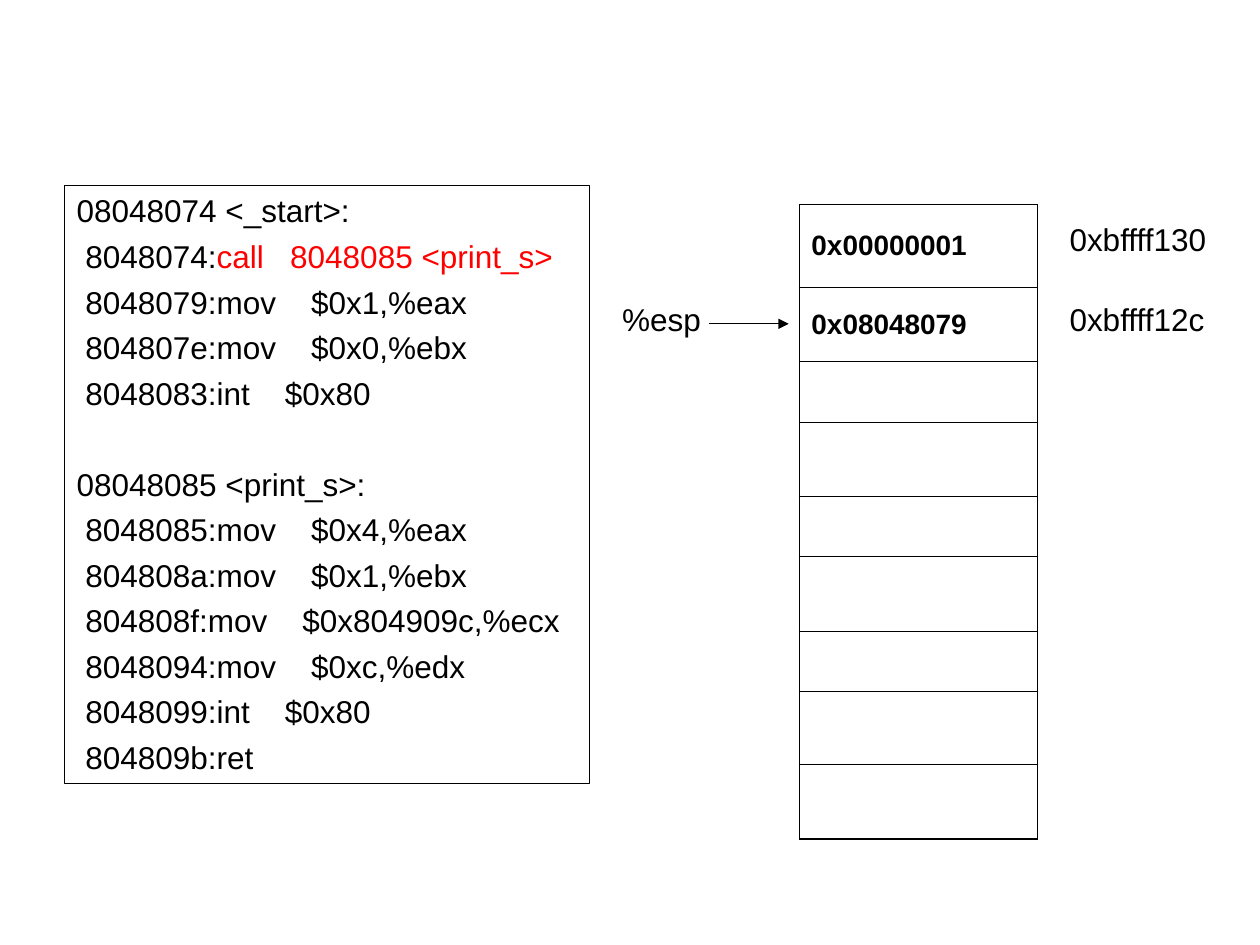
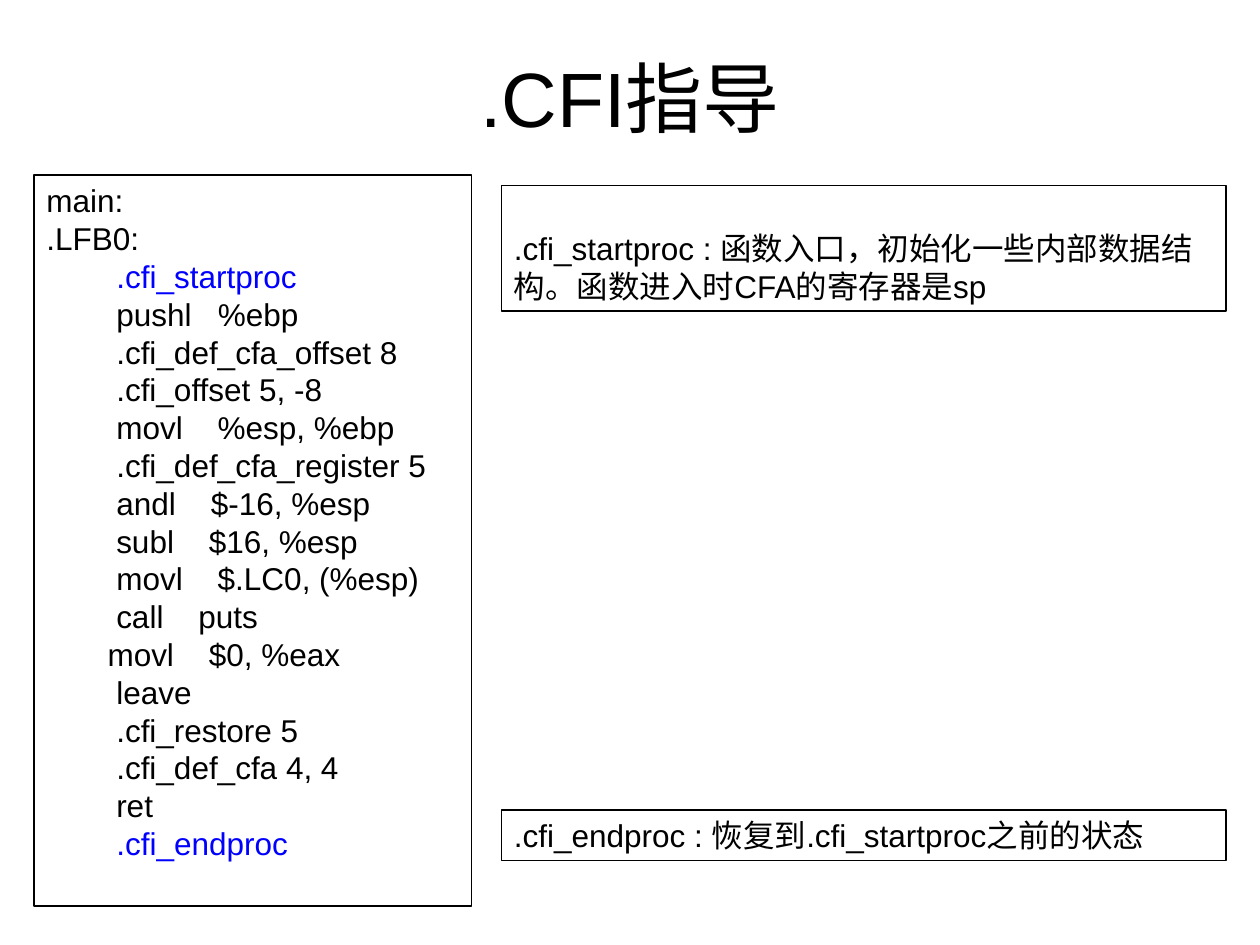
import dataclasses
from typing import Any

import lxml.etree
import pptx
import pptx.dml.color
import pptx.enum.shapes
import pptx.enum.text
import pptx.oxml.ns
import pptx.util

Inches, Pt = pptx.util.Inches, pptx.util.Pt
ANCHOR = pptx.enum.text.MSO_ANCHOR
ALIGN = pptx.enum.text.PP_ALIGN

COLOURS = {"ink": "000000", "call": "FF0000", "directive": "0000FF"}
FONT = "Arial"
LINE_WIDTH = 0.75
CODE_FORMAT = {"line_spacing": Pt(21.6)}
TITLE_FORMAT = {"alignment": ALIGN.CENTER}
LISTING_GAP = 2.2


@dataclasses.dataclass
class Span:
    text: str
    colour: str = "ink"
    size: float = 18
    bold: bool = False


@dataclasses.dataclass
class Para:
    spans: list[Span]
    before: float = 0
    after: float = 0


@dataclasses.dataclass
class Box:
    left: float
    top: float
    width: float
    height: float
    paras: list[Para]
    framed: bool = True
    anchor: Any = ANCHOR.TOP
    para_format: dict = dataclasses.field(default_factory=lambda: CODE_FORMAT)


def rgb(name: str) -> pptx.dml.color.RGBColor:
    return pptx.dml.color.RGBColor.from_string(COLOURS[name])


def set_all(target: Any, values: dict) -> None:
    for name, value in values.items():
        setattr(target, name, value)


def plain(text: str) -> Para:
    return Para([Span(text)])


def code(lines: list[str], marked: dict[str, str]) -> list[Para]:
    """Make one paragraph per line, colouring the part that begins with a marked word."""
    paras = []
    for line in lines:
        spans = [Span(line)]
        for word, colour in marked.items():
            if word in line:
                start = line.index(word)
                spans = [Span(line[:start]), Span(line[start:], colour)]
        paras.append(Para(spans))
    return paras


def write_para(paragraph: Any, para: Para) -> None:
    set_all(paragraph, {"space_before": Pt(para.before), "space_after": Pt(para.after)})
    for span in para.spans:
        run = paragraph.add_run()
        run.text = span.text
        set_all(run.font, {"name": FONT, "size": Pt(span.size), "bold": span.bold})
        run.font.color.rgb = rgb(span.colour)


def draw_box(page: Any, box: Box) -> None:
    place = [Inches(value) for value in (box.left, box.top, box.width, box.height)]
    if box.framed:
        shape = page.shapes.add_shape(pptx.enum.shapes.MSO_SHAPE.RECTANGLE, *place)
        shape.shadow.inherit = False
        shape.fill.background()
        shape.line.color.rgb = rgb("ink")
        shape.line.width = Pt(LINE_WIDTH)
    else:
        shape = page.shapes.add_textbox(*place)
    frame = shape.text_frame
    set_all(frame, {"word_wrap": True, "vertical_anchor": box.anchor})
    for index, para in enumerate(box.paras):
        paragraph = frame.add_paragraph() if index else frame.paragraphs[0]
        set_all(paragraph, {"alignment": ALIGN.LEFT, **box.para_format})
        write_para(paragraph, para)


def label(left: float, top: float, width: float, text: str) -> Box:
    return Box(left, top, width, 0.4, [plain(text)], framed=False)


def draw_arrow(page: Any, left: float, right: float, y: float) -> None:
    arrow = page.shapes.add_connector(
        pptx.enum.shapes.MSO_CONNECTOR.STRAIGHT,
        Inches(left), Inches(y), Inches(right), Inches(y))
    arrow.line.color.rgb = rgb("ink")
    arrow.line.width = Pt(LINE_WIDTH)
    qn = pptx.oxml.ns.qn
    properties = arrow._element.spPr
    lxml.etree.SubElement(properties.find(qn("a:ln")), qn("a:tailEnd"), type="triangle")
    lxml.etree.SubElement(properties, qn("a:effectLst"))


def border_cell(cell: Any, bottom: float) -> None:
    qn = pptx.oxml.ns.qn
    properties = cell._tc.get_or_add_tcPr()
    for side, width in {"L": 0.45, "R": 0.45, "T": 0.45, "B": bottom}.items():
        line = lxml.etree.SubElement(properties, qn(f"a:ln{side}"), w=str(Pt(width)))
        fill = lxml.etree.SubElement(line, qn("a:solidFill"))
        lxml.etree.SubElement(fill, qn("a:srgbClr"), val=COLOURS["ink"])


def draw_stack(page: Any, left: float, top: float, width: float,
               heights: list[float], words: list[str]) -> None:
    table = page.shapes.add_table(
        len(heights), 1, Inches(left), Inches(top), Inches(width),
        Inches(sum(heights))).table
    set_all(table, {"first_row": False, "horz_banding": False})
    for index, height in enumerate(heights):
        table.rows[index].height = Inches(height)
        cell = table.cell(index, 0)
        border_cell(cell, 1.08 if index == len(heights) - 1 else 0.45)
        cell.fill.background()
        cell.vertical_anchor = ANCHOR.MIDDLE
        if index < len(words):
            write_para(cell.text_frame.paragraphs[0],
                       Para([Span(words[index], size=16, bold=True)]))


def draw_call_stack(page: Any) -> None:
    start = code([
        "08048074 <_start>:",
        " 8048074:call   8048085 <print_s>",
        " 8048079:mov    $0x1,%eax",
        " 804807e:mov    $0x0,%ebx",
        " 8048083:int    $0x80",
    ], {"call": "call"})
    print_s = code([
        "08048085 <print_s>:",
        " 8048085:mov    $0x4,%eax",
        " 804808a:mov    $0x1,%ebx",
        " 804808f:mov    $0x804909c,%ecx",
        " 8048094:mov    $0xc,%edx",
        " 8048099:int    $0x80",
        " 804809b:ret",
    ], {})
    listing = start + print_s
    for para in listing:
        set_all(para, {"before": LISTING_GAP, "after": LISTING_GAP})
    start[0].before = 0
    print_s[0].before = 28.2
    draw_box(page, Box(0.51, 1.47, 4.17, 4.75, listing))
    draw_stack(page, 6.34, 1.62, 1.89,
               [0.66, 0.59, 0.48, 0.59, 0.48, 0.59, 0.48, 0.58, 0.59],
               ["0x00000001", "0x08048079"])
    for box in (label(8.39, 1.7, 1.34, "0xbffff130"),
                label(8.39, 2.33, 1.34, "0xbffff12c"),
                label(4.84, 2.33, 0.87, "%esp")):
        draw_box(page, box)
    draw_arrow(page, 5.63, 6.26, 2.57)


def draw_cfi_directives(page: Any) -> None:
    main_code = code([
        "main:",
        ".LFB0:",
        "        .cfi_startproc",
        "        pushl   %ebp",
        "        .cfi_def_cfa_offset 8",
        "        .cfi_offset 5, -8",
        "        movl    %esp, %ebp",
        "        .cfi_def_cfa_register 5",
        "        andl    $-16, %esp",
        "        subl    $16, %esp",
        "        movl    $.LC0, (%esp)",
        "        call    puts",
        "       movl    $0, %eax",
        "        leave",
        "        .cfi_restore 5",
        "        .cfi_def_cfa 4, 4",
        "        ret",
        "        .cfi_endproc",
    ], {".cfi_startproc": "directive", ".cfi_endproc": "directive"})
    startproc = plain(".cfi_startproc : 函数入口，初始化一些内部数据结构。函数进入时CFA的寄存器是sp")
    endproc = plain(".cfi_endproc : 恢复到.cfi_startproc之前的状态")
    for box in (
        Box(0.5, 0.3, 9, 0.93, [Para([Span(".CFI指导", size=44)])], framed=False,
            anchor=ANCHOR.MIDDLE, para_format=TITLE_FORMAT),
        Box(0.27, 1.39, 3.47, 5.8, main_code),
        Box(3.98, 1.47, 5.75, 1, [startproc], anchor=ANCHOR.BOTTOM),
        Box(3.98, 6.43, 5.75, 0.4, [endproc]),
    ):
        draw_box(page, box)


def main() -> None:
    deck = pptx.Presentation()
    set_all(deck, {"slide_width": Inches(10), "slide_height": Inches(7.5)})
    for draw in (draw_call_stack, draw_cfi_directives):
        draw(deck.slides.add_slide(deck.slide_layouts[6]))
    deck.save("out.pptx")


if __name__ == "__main__":
    main()
